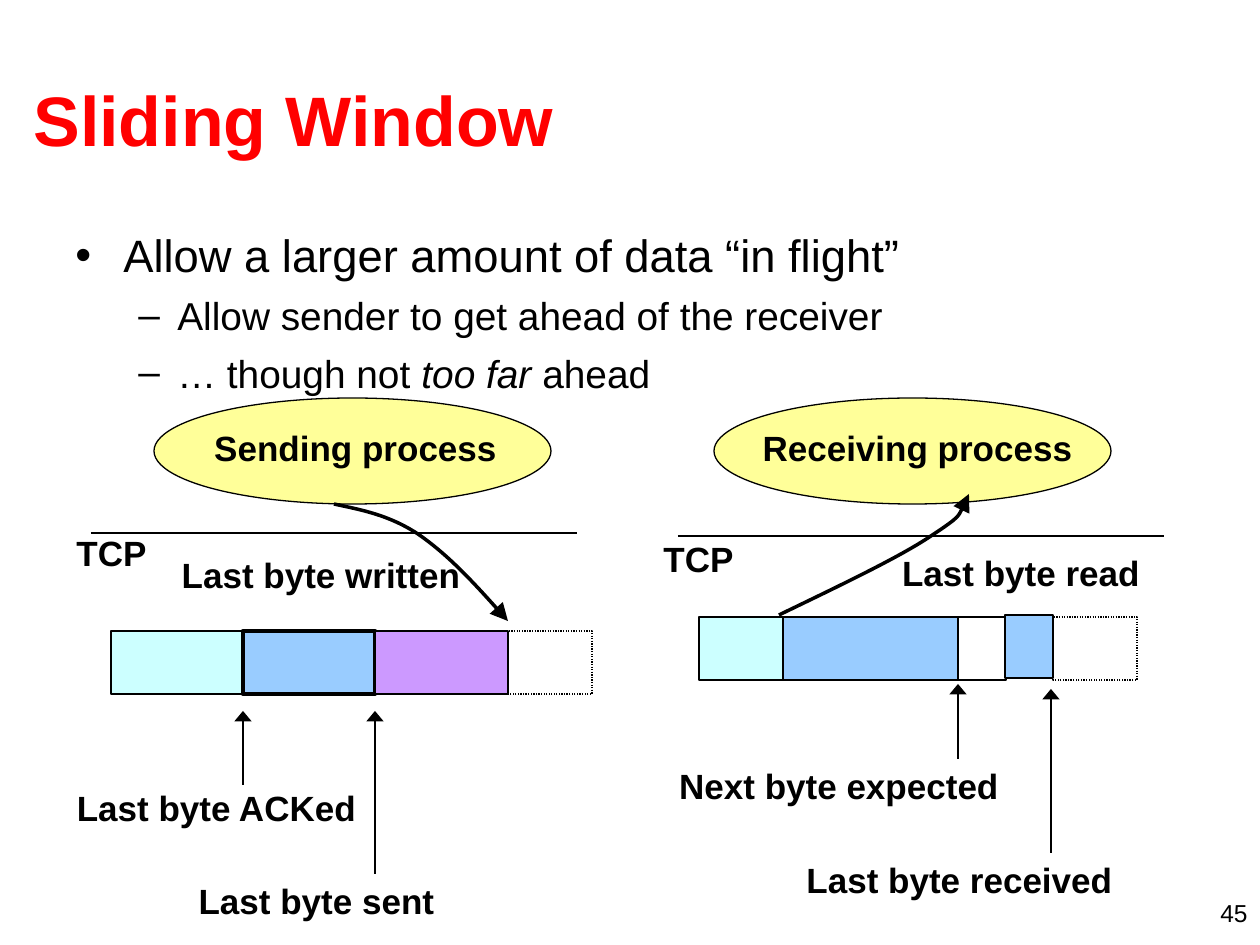
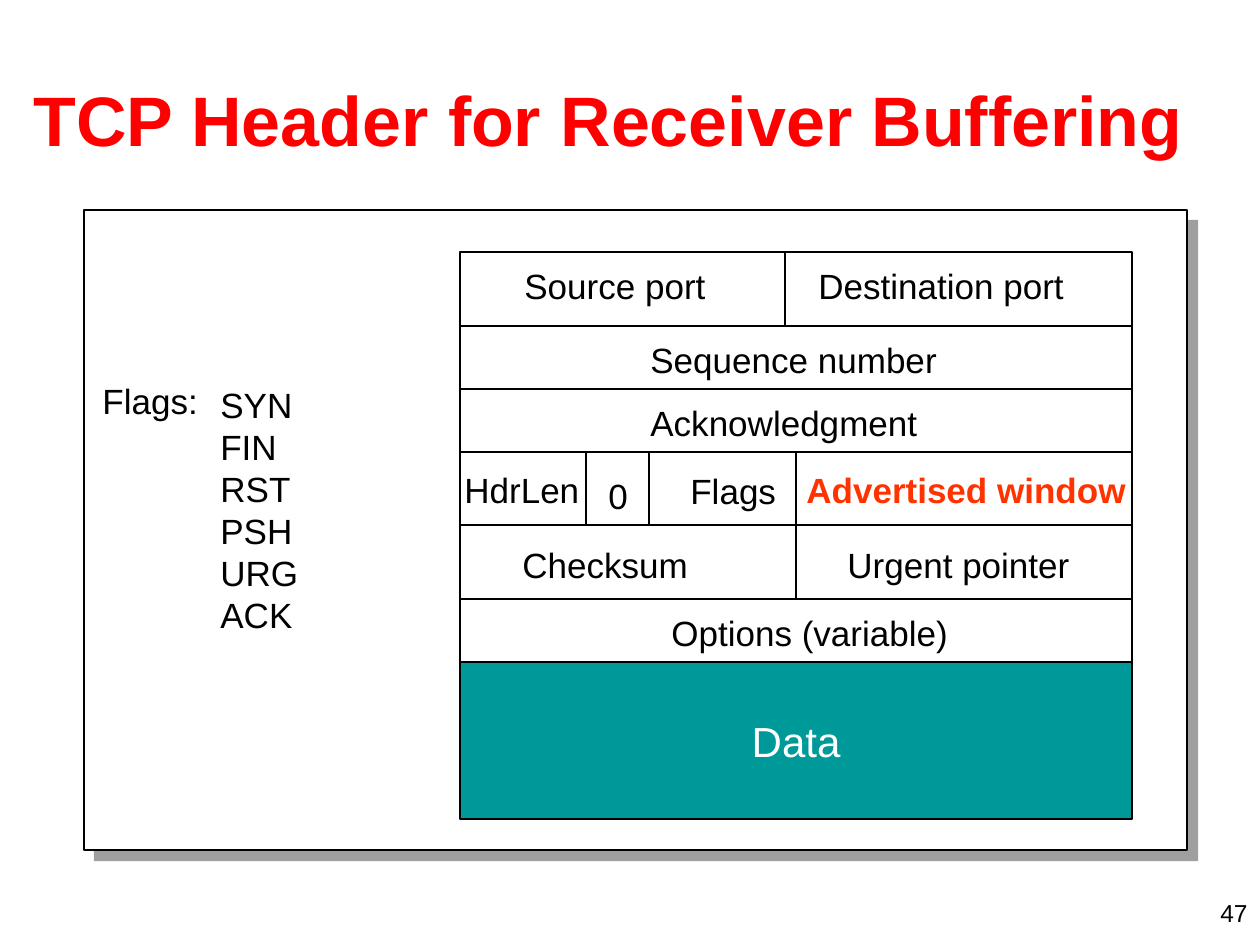
from lxml import etree
from pptx import Presentation
from pptx.dml.color import RGBColor
from pptx.enum.dml import MSO_LINE
from pptx.enum.shapes import MSO_CONNECTOR, MSO_SHAPE
from pptx.enum.text import MSO_ANCHOR, MSO_AUTO_SIZE, PP_ALIGN
from pptx.oxml.ns import qn
from pptx.util import Pt

EMU_PER_PX = 914400 / 126
FONT = "Arial"
COLORS = {
    "black": "000000", "white": "FFFFFF", "title": "FF0000", "highlight": "FF3300",
    "process": "FFFF99", "done": "CCFFFF", "current": "99CCFF", "unsent": "CC99FF",
    "data": "009999", "shadow": "808080",
}
LEFT, CENTER, RIGHT = PP_ALIGN.LEFT, PP_ALIGN.CENTER, PP_ALIGN.RIGHT
MIDDLE = MSO_ANCHOR.MIDDLE
FIXED_SIZE = MSO_AUTO_SIZE.NONE
RECTANGLE, OVAL = MSO_SHAPE.RECTANGLE, MSO_SHAPE.OVAL
STRAIGHT = MSO_CONNECTOR.STRAIGHT
DOTTED = MSO_LINE.ROUND_DOT
TITLE_ONLY = 5
LABEL_HEIGHT = 55
LABEL_SLACK = 12


def emu(*lengths):
    """Turn pixel lengths into EMU."""
    return [round(length * EMU_PER_PX) for length in lengths]


def rgb(name):
    """Look up a named colour."""
    return RGBColor.from_string(COLORS[name])


def write(paragraph, text, size=20, color="black", bold=False, italic=False, align=LEFT):
    """Append one formatted run to a paragraph."""
    paragraph.alignment = align
    run = paragraph.add_run()
    run.text = text
    font = run.font
    font.name, font.size, font.bold, font.italic = FONT, Pt(size), bold, italic
    font.color.rgb = rgb(color)


def add_label(slide, text, left, top, width, height=LABEL_HEIGHT, align=LEFT, **style):
    """Add a text box with one paragraph per line and room to keep each on one line."""
    if align == CENTER:
        left -= LABEL_SLACK // 2
    box = emu(left, top, width + LABEL_SLACK, height)
    frame = slide.shapes.add_textbox(*box).text_frame
    frame.word_wrap = True
    frame.auto_size = FIXED_SIZE
    for index, line in enumerate(text.split("\n")):
        paragraph = frame.add_paragraph() if index else frame.paragraphs[0]
        write(paragraph, line, align=align, **style)


def set_line(line, width, head_length=None):
    """Draw a black line, with a wide arrowhead of the given length at its end."""
    line.color.rgb = rgb("black")
    line.width = Pt(width)
    if head_length:
        ln = line._get_or_add_ln()
        etree.SubElement(ln, qn("a:tailEnd"), type="triangle", w="lg", len=head_length)


def add_block(slide, kind, left, top, width, height, fill=None, weight=0.75, dash=None):
    """Add an outlined preset shape."""
    block = slide.shapes.add_shape(kind, *emu(left, top, width, height))
    block.shadow.inherit = False
    if fill:
        block.fill.solid()
        block.fill.fore_color.rgb = rgb(fill)
    else:
        block.fill.background()
    set_line(block.line, weight)
    if dash:
        block.line.dash_style = dash
    return block


def add_line(slide, x1, y1, x2, y2, weight=0.75, head_length=None):
    """Add a straight line without a shadow."""
    connector = slide.shapes.add_connector(STRAIGHT, *emu(x1, y1, x2, y2))
    set_line(connector.line, weight, head_length)
    etree.SubElement(connector._element.spPr, qn("a:effectLst"))


def add_curved_arrow(slide, start, *controls):
    """Add a Bézier arrow; each three control points form one segment."""
    builder = slide.shapes.build_freeform(*start, scale=EMU_PER_PX)
    builder.add_line_segments(controls, close=False)
    curve = builder.convert_to_shape()
    curve.shadow.inherit = False
    curve.fill.background()
    set_line(curve.line, 2, "lg")
    outline = curve._element.find(".//" + qn("a:path"))
    segments = outline.findall(qn("a:lnTo"))
    for first in range(0, len(segments), 3):
        bezier = etree.SubElement(outline, qn("a:cubicBezTo"))
        for segment in segments[first:first + 3]:
            bezier.append(segment[0])
            outline.remove(segment)


def add_titled_slide(deck, heading, number):
    """Start a slide with its red title and page number."""
    slide = deck.slides.add_slide(deck.slide_layouts[TITLE_ONLY])
    title = slide.shapes.title
    title.left, title.top, title.width, title.height = emu(21, 40, 1207, 158)
    title.text_frame.vertical_anchor = MIDDLE
    write(title.text_frame.paragraphs[0], heading, size=40, color="title", bold=True)
    page = slide.shapes.add_textbox(*emu(966, 892, 294, 32)).text_frame
    page.word_wrap = True
    write(page.paragraphs[0], str(number), size=14, align=RIGHT)
    return slide


def add_bullets(slide, box, items):
    """Fill a box with two levels of bullets."""
    levels = [("•", 48, 48, 25.9, 7), ("–", 102, 39, 22.2, 6)]
    frame = slide.shapes.add_textbox(*emu(*box)).text_frame
    frame.word_wrap = True
    for index, (level, runs) in enumerate(items):
        mark, margin, hanging, size, gap = levels[level]
        paragraph = frame.add_paragraph() if index else frame.paragraphs[0]
        paragraph.level = level
        paragraph.space_before = Pt(gap)
        for text, italic in runs:
            write(paragraph, text, size=size, italic=italic)
        properties = paragraph._p.get_or_add_pPr()
        for name, length in (("marL", margin), ("indent", -hanging)):
            properties.set(name, str(emu(length)[0]))
        etree.SubElement(properties, qn("a:buFont"), typeface=FONT)
        etree.SubElement(properties, qn("a:buChar"), char=mark)


def add_endpoint(slide, box, process_left, tcp_line, cells, curve, pointers, labels):
    """Draw one end of the connection: process, TCP line, buffer and pointers."""
    left, top = box
    add_block(slide, OVAL, left + process_left, top, 397, 106, "process")
    add_line(slide, left + 27, top + tcp_line, left + 513, top + tcp_line)
    for x, y, width, fill, weight, dash in cells:
        add_block(slide, RECTANGLE, left + x, top + y, width, 63, fill, weight, dash)
    add_curved_arrow(slide, *[(left + x, top + y) for x, y in curve])
    for x, tail, head in pointers:
        add_line(slide, left + x, top + tail, left + x, top + head, 1.5, "med")
    for text, x, y, width in labels:
        add_label(slide, text, left + x, top + y, width, bold=True, align=CENTER)


def build_sliding_window(deck):
    """Build the slide on the sliding window."""
    slide = add_titled_slide(deck, "Sliding Window", 45)
    add_bullets(slide, (63, 221, 1134, 176), [
        (0, [("Allow a larger amount of data “in flight”", False)]),
        (1, [("Allow sender to get ahead of the receiver", False)]),
        (1, [("… though not ", False), ("too far", True), (" ahead", False)]),
    ])
    add_endpoint(
        slide, (64, 398), process_left=90, tcp_line=135,
        cells=[(47, 233, 132, "done", 0.75, None),
               (179, 233, 132, "current", 2.5, None),
               (311, 233, 133, "unsent", 0.75, None),
               (444, 233, 84, None, 0.75, DOTTED)],
        curve=[(270, 106), (298, 112), (325, 117), (354, 136),
               (383, 156), (414, 189), (444, 223)],
        pointers=[(179, 387, 313), (311, 476, 313)],
        labels=[("Sending process", 138, 22, 307), ("TCP", 0, 127, 95),
                ("Last byte written", 105, 149, 304),
                ("Last byte ACKed", 0, 382, 305), ("Last byte sent", 122, 475, 261)])
    add_endpoint(
        slide, (651, 398), process_left=63, tcp_line=138,
        cells=[(48, 219, 84, "done", 0.75, None),
               (132, 219, 180, "current", 0.75, None),
               (307, 219, 48, "white", 0.75, None),
               (402, 219, 84, None, 0.75, DOTTED),
               (354, 217, 48, "current", 0.75, None)],
        curve=[(128, 217), (188, 188), (249, 159), (280, 138),
               (312, 117), (314, 107), (318, 96)],
        pointers=[(307, 361, 286), (400, 455, 291)],
        labels=[("Receiving process", 99, 22, 335), ("TCP", 0, 133, 95),
                ("Last byte read", 239, 147, 262),
                ("Next byte expected", 16, 360, 344),
                ("Last byte received", 143, 454, 331)])


def add_header_frame(slide, box):
    """Draw the white panel with its hard grey shadow."""
    panel = add_block(slide, RECTANGLE, *box, "white")
    effects = panel._element.spPr.find(qn("a:effectLst"))
    shadow = etree.SubElement(effects, qn("a:outerShdw"), blurRad="0",
                              dist=str(Pt(8.5)), dir="2700000", rotWithShape="0")
    tint = etree.SubElement(shadow, qn("a:srgbClr"), val=COLORS["shadow"])
    etree.SubElement(tint, qn("a:alpha"), val="75000")


def add_header_fields(slide, left, top, rows):
    """Stack rows of header fields, with labels placed relative to each field."""
    for height, fields in rows:
        field_left = left
        for width, labels in fields:
            add_block(slide, RECTANGLE, field_left, top, width, height)
            for text, x, y, label_width, *style in labels:
                add_label(slide, text, field_left + x, top + y, label_width,
                          **(style[0] if style else {}))
            field_left += width
        top += height
    return top


def build_tcp_header(deck):
    """Build the slide on the TCP header."""
    slide = add_titled_slide(deck, "TCP Header for Receiver Buffering", 47)
    add_header_frame(slide, (84, 210, 1103, 640))
    left, top, width = 460, 252, 672
    half = width // 2
    advertised = {"color": "highlight", "bold": True}
    data_top = add_header_fields(slide, left, top, [
        (74, [(325, [("Source port", 52, 6, 207)]),
              (347, [("Destination port", 21, 6, 271)])]),
        (63, [(width, [("Sequence number", 178, 6, 311)])]),
        (63, [(width, [("Acknowledgment", 178, 6, 292)])]),
        (73, [(half, [("HdrLen", -8, 10, 140), ("0", 136, 16, 44),
                      ("Flags", 218, 11, 111)]),
              (half, [("Advertised window", -2, 10, 344, advertised)])]),
        (74, [(half, [("Checksum", 50, 12, 190)]),
              (half, [("Urgent pointer", 39, 12, 247)])]),
        (63, [(width, [("Options (variable)", 199, 6, 301)])]),
    ])
    for divider in (126, 189):
        add_line(slide, left + divider, 452, left + divider, 525)
    data = add_block(slide, RECTANGLE, left, data_top, width, 157, "data").text_frame
    data.word_wrap = False
    data.vertical_anchor = MIDDLE
    write(data.paragraphs[0], "Data", size=24, color="white", align=CENTER)
    add_label(slide, "Flags:", 90, 373, 121)
    add_label(slide, "SYN\nFIN\nRST\nPSH\nURG\nACK", 208, 377, 103, 265)


def main():
    """Build and save the deck."""
    deck = Presentation()
    deck.slide_width, deck.slide_height = emu(1260, 945)
    build_sliding_window(deck)
    build_tcp_header(deck)
    deck.save("out.pptx")


if __name__ == "__main__":
    main()
